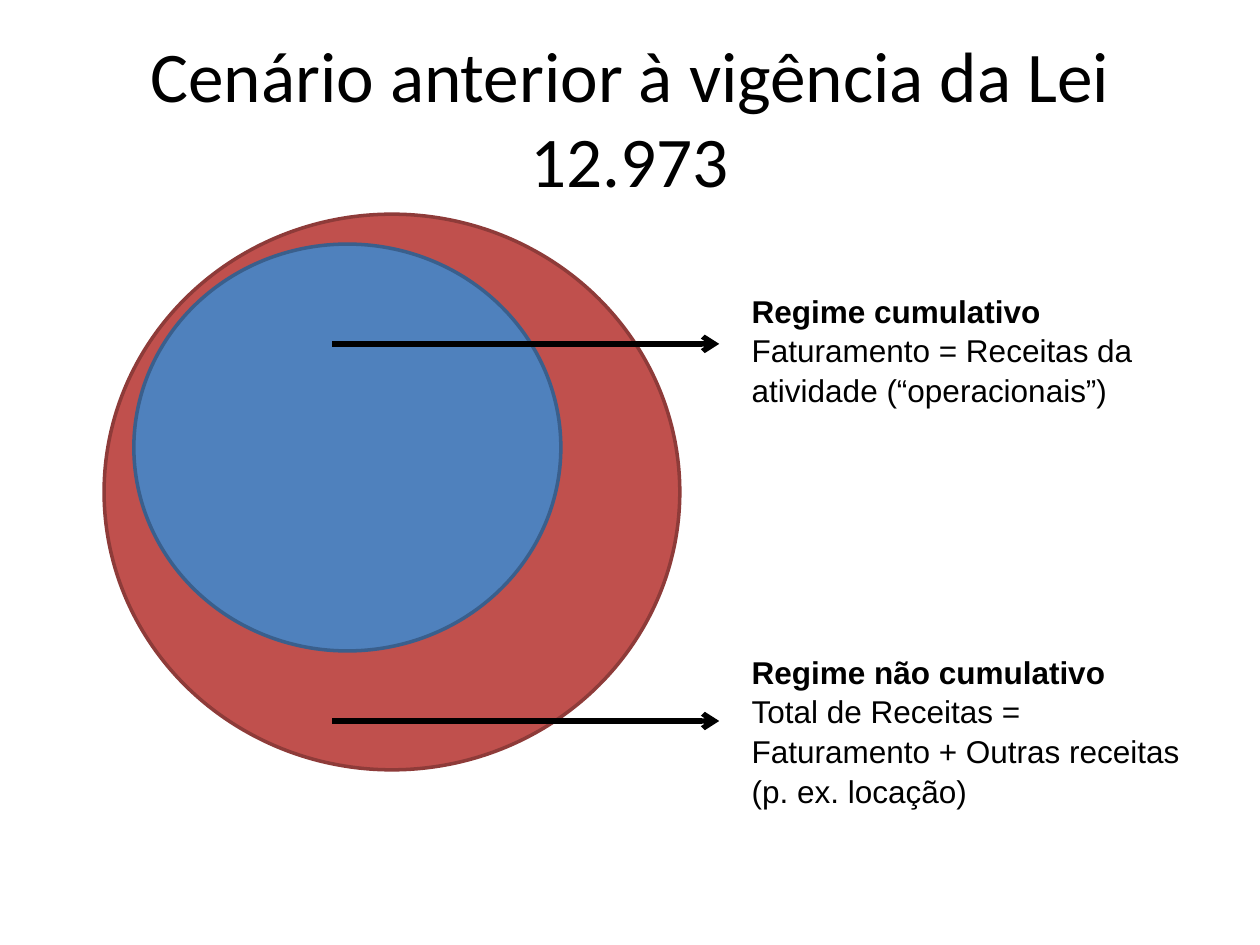
from lxml import etree
from pptx import Presentation
from pptx.dml.color import RGBColor
from pptx.enum import shapes as es, text as et
from pptx.oxml.ns import qn
from pptx.util import Pt


def color(code):
    return RGBColor.from_string(code)


def style(para, font, size, bold=False):
    for run in para.runs:
        run.font.name = font
        run.font.size = Pt(size)
        run.font.bold = bold
        run.font.color.rgb = color("000000")


def add_text(slide, box, words):
    frame = slide.shapes.add_textbox(*map(Pt, box)).text_frame
    frame.word_wrap = True
    frame.text = words
    return frame


def add_title(slide, box, words):
    frame = add_text(slide, box, words)
    frame.vertical_anchor = et.MSO_ANCHOR.MIDDLE
    para = frame.paragraphs[0]
    para.alignment = et.PP_ALIGN.CENTER
    style(para, "Calibri", 40.7)


def add_circle(slide, box, fill, line):
    oval = slide.shapes.add_shape(es.MSO_SHAPE.OVAL, *map(Pt, box))
    oval.shadow.inherit = False
    oval.fill.solid()
    oval.fill.fore_color.rgb = color(fill)
    oval.line.color.rgb = color(line)
    oval.line.width = Pt(2)


def add_note(slide, box, lines):
    """Bold heading on the first line, plain text below it."""
    frame = add_text(slide, box, "\n".join(lines))
    for i, para in enumerate(frame.paragraphs):
        para.line_spacing = 1.05
        style(para, "Arial", 18, bold=i == 0)


def add_arrow(slide, left, right, y):
    arrow = slide.shapes.add_connector(
        es.MSO_CONNECTOR.STRAIGHT, Pt(left), Pt(y), Pt(right), Pt(y))
    arrow.line.color.rgb = color("000000")
    arrow.line.width = Pt(3)
    etree.SubElement(arrow.line._get_or_add_ln(), qn("a:tailEnd"), type="arrow")
    etree.SubElement(arrow._element.spPr, qn("a:effectLst"))


def main():
    deck = Presentation()
    deck.slide_width, deck.slide_height = Pt(720), Pt(540)
    slide = deck.slides.add_slide(deck.slide_layouts[6])

    add_title(slide, (36, 21.6, 648, 90),
              "Cenário anterior à vigência da Lei 12.973")
    add_circle(slide, (59.5, 122.4, 329, 317.5), "C0504D", "8E3B39")
    add_circle(slide, (76.5, 139.5, 244, 232.5), "4F81BD", "3A5F8C")

    notes = [
        (162, 72, 196.5, ["Regime cumulativo",
                          "Faturamento = Receitas da atividade (“operacionais”)"]),
        (368.3, 94, 412, ["Regime não cumulativo",
                          "Total de Receitas =",
                          "Faturamento + Outras receitas (p. ex. locação)"]),
    ]
    for top, height, y, lines in notes:
        add_note(slide, (422.5, top, 276.5, height), lines)
        add_arrow(slide, 190, 411, y)

    deck.save("out.pptx")


if __name__ == "__main__":
    main()
